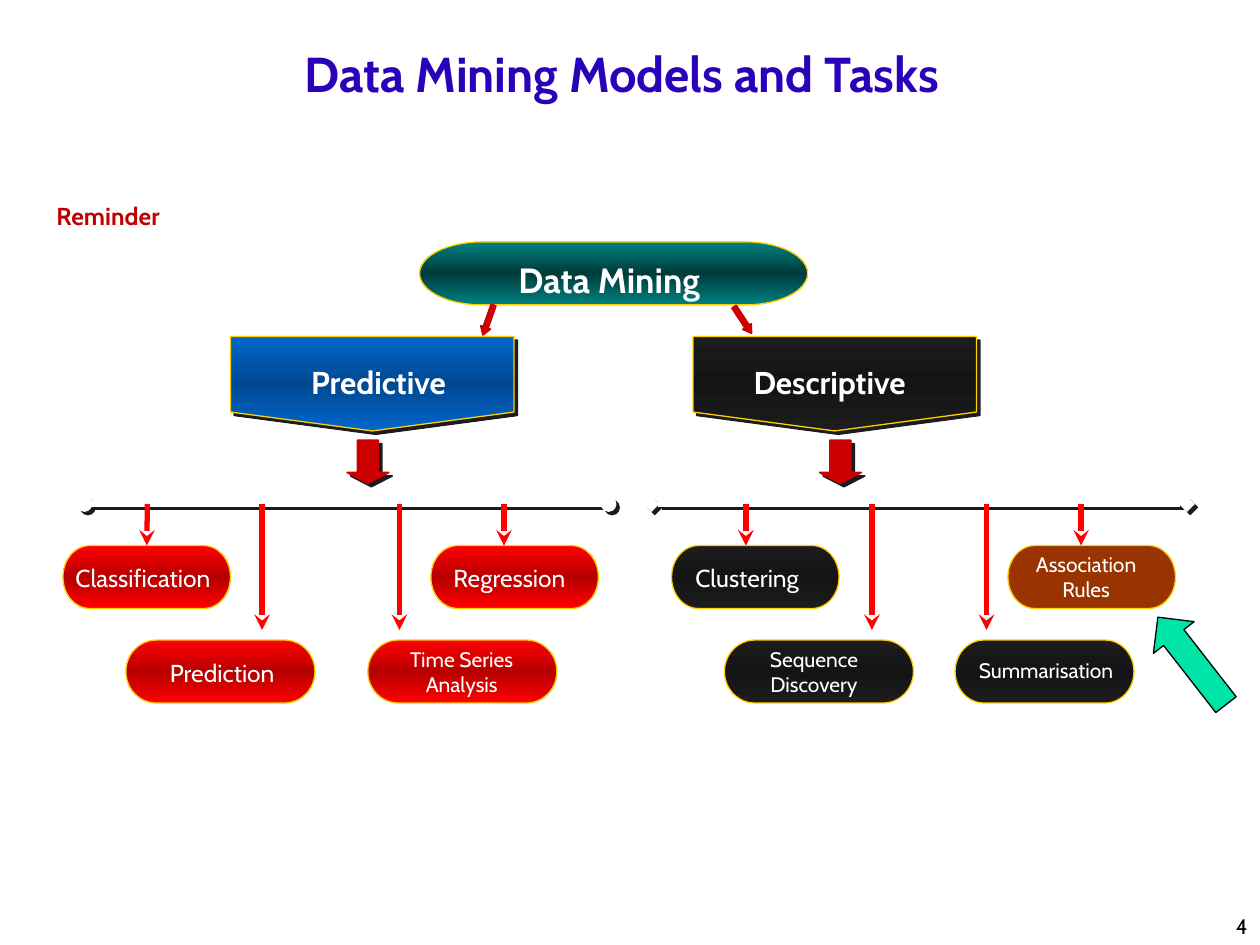
from dataclasses import dataclass

from lxml.etree import SubElement
from pptx import Presentation
from pptx.dml.color import RGBColor
from pptx.enum.shapes import MSO_CONNECTOR, MSO_SHAPE as SHAPE
from pptx.enum.text import MSO_ANCHOR as ANCHOR, MSO_AUTO_SIZE as AUTO, PP_ALIGN as ALIGN
from pptx.oxml.ns import qn
from pptx.util import Inches, Pt


@dataclass(frozen=True)
class Theme:
    font: str = "Cabin"
    title: str = "2A03B9"
    reminder: str = "C00000"
    white: str = "FFFFFF"
    black: str = "000000"
    gold: str = "FFCF01"
    shadow: str = "1C1C1C"
    arrow: str = "CC0000"
    drop: str = "FF0000"
    pointer: str = "00E4A8"
    rust: str = "993300"
    teal: tuple = ("008080", "003B3B")
    blue: tuple = ("0066CC", "004992")
    dark: tuple = ("1C1C1C", "141414")
    red: tuple = ("FF0000", "B60000")
    title_size: int = 28
    root_size: int = 20
    branch_size: int = 18
    task_size: int = 14
    small_size: int = 12


class Diagram:
    def __init__(self, slide, theme):
        self.s = slide
        self.t = theme

    def text(self, box, words, size, color=None, bold=False, align=ALIGN.CENTER,
             anchor=ANCHOR.TOP, spacing=None):
        tb = self.s.shapes.add_textbox(*map(Inches, box))
        tf = tb.text_frame
        tf.word_wrap = True
        tf.vertical_anchor = anchor
        tf.auto_size = AUTO.SHAPE_TO_FIT_TEXT if anchor == ANCHOR.TOP else AUTO.NONE
        p = tf.paragraphs[0]
        p.alignment = align
        if spacing:
            p.line_spacing = Pt(spacing)
        r = p.add_run()
        r.text = words
        r.font.name = self.t.font
        r.font.size = Pt(size)
        r.font.bold = bold
        r.font.color.rgb = RGBColor.from_string(color or self.t.white)

    def add_shadow(self, effects):
        shadow = SubElement(effects, qn("a:outerShdw"), blurRad="0", dist=str(Pt(2.8)),
                            dir="2700000", algn="ctr", rotWithShape="0")
        SubElement(shadow, qn("a:srgbClr"), val=self.t.shadow)

    def shape(self, kind, box, fill, line=None, width=0.75, rotation=0, adj=(), shadow=False):
        sp = self.s.shapes.add_shape(kind, *map(Inches, box))
        sp.rotation = rotation
        for i, value in enumerate(adj):
            sp.adjustments[i] = value
        if isinstance(fill, tuple):
            edge, middle = fill
            sp.fill.gradient()
            sp.fill.gradient_angle = 90
            stops = sp.element.spPr.find(".//" + qn("a:gsLst"))
            for stop in list(stops):
                stops.remove(stop)
            for pos, color in ((0, edge), (50000, middle), (100000, edge)):
                stop = SubElement(stops, qn("a:gs"), pos=str(pos))
                SubElement(stop, qn("a:srgbClr"), val=color)
        else:
            sp.fill.solid()
            sp.fill.fore_color.rgb = RGBColor.from_string(fill)
        sp.line.color.rgb = RGBColor.from_string(line or self.t.gold)
        sp.line.width = Pt(width)
        sp.shadow.inherit = False
        if shadow:
            self.add_shadow(sp.element.spPr.find(qn("a:effectLst")))
        return sp

    def arrow(self, box, rotation, head, shadow=False):
        self.shape(SHAPE.RIGHT_ARROW, box, self.t.arrow, self.t.arrow, 1, rotation,
                   (0.5, head), shadow)

    def line(self, x1, y1, x2, y2, color, head=None, tail=None, shadow=False, target=None):
        cn = self.s.shapes.add_connector(MSO_CONNECTOR.STRAIGHT,
                                         *map(Inches, (x1, y1, x2, y2)))
        if target is not None:
            cn.end_connect(target, 0)
        cn.line.color.rgb = RGBColor.from_string(color)
        cn.line.width = Pt(3)
        ln = cn.line._get_or_add_ln()
        for tag, kind in (("a:headEnd", head), ("a:tailEnd", tail)):
            if kind:
                SubElement(ln, qn(tag), type=kind)
        effects = SubElement(cn._element.spPr, qn("a:effectLst"))
        if shadow:
            self.add_shadow(effects)


def main():
    prs = Presentation()
    prs.slide_width, prs.slide_height = Inches(10), Inches(7.5)
    t = Theme()
    d = Diagram(prs.slides.add_slide(prs.slide_layouts[6]), t)

    d.text((0.35, 0.21, 9.17, 0.65), "Data Mining Models and Tasks", t.title_size, t.title,
           True, anchor=ANCHOR.BOTTOM)
    d.text((0.35, 1.23, 9.17, 0.65), "Reminder", t.task_size, t.reminder, True, ALIGN.LEFT,
           ANCHOR.BOTTOM, 36)
    d.shape(SHAPE.FLOWCHART_TERMINATOR, (3.33, 1.92, 3.08, 0.5), t.teal)
    d.text((3.67, 2, 2.33, 0.44), "Data Mining", t.root_size, bold=True)

    branches = (
        ("Predictive", 1.83, 2.17, t.blue, 2.75, 0.67, 4.83, "oval"),
        ("Descriptive", 5.5, 5.75, t.dark, 6.5, 5.17, 9.42, "diamond"),
    )
    for name, x, text_x, fill, arrow_x, start, end, cap in branches:
        d.shape(SHAPE.FLOWCHART_OFFPAGE_CONNECTOR, (x, 2.67, 2.25, 0.75), fill, shadow=True)
        d.text((text_x, 2.83, 1.67, 0.4), name, t.branch_size, bold=True)
        d.line(start, 4, end, 4, t.white, cap, cap, shadow=True)
        d.arrow((arrow_x, 3.5, 0.34, 0.33), 90, 0.257, shadow=True)

    for x, rotation in ((5.77, 56.7), (3.75, 109.6)):
        d.arrow((x, 2.5, 0.25, 0.08), rotation, 0.777)

    upper, lower = 4.33, 5.08
    one, small, two = (t.task_size, 0.09, 0.33), (t.small_size, 0.09, 0.3), (t.small_size, 0, 0.5)
    left, center = ALIGN.LEFT, ALIGN.CENTER
    tasks = (
        ("Classification", 0.5, upper, 1.33, t.red, 0.5, 1.42, one, left, 1.17),
        ("Prediction", 1, lower, 1.5, t.red, 1.25, 1.17, one, left, 2.08),
        ("Time Series Analysis", 2.92, lower, 1.5, t.red, 3.08, 1.17, two, center, 3.17),
        ("Regression", 3.42, upper, 1.33, t.red, 3.5, 1.25, one, left, 4),
        ("Clustering", 5.33, upper, 1.33, t.dark, 5.42, 1.17, one, left, 5.92),
        ("Sequence Discovery", 5.75, lower, 1.5, t.dark, 5.92, 1.08, two, center, 6.92),
        ("Summarisation", 7.58, lower, 1.42, t.dark, 7.67, 1.33, small, left, 7.83),
        ("Association Rules", 8, upper, 1.33, t.rust, 8.08, 1.08, two, center, 8.58),
    )
    for name, x, y, w, fill, text_x, text_w, (size, dy, h), align, drop_x in tasks:
        pill = d.shape(SHAPE.FLOWCHART_TERMINATOR, (x, y, w, 0.5), fill)
        d.text((text_x, y + dy, text_w, h), name, size, align=align)
        centered = y == upper and abs(x + w / 2 - drop_x) < 0.01
        d.line(drop_x, 4, drop_x, upper if y == upper else 5, t.drop, tail="stealth",
               target=pill if centered else None)

    d.shape(SHAPE.RIGHT_ARROW, (9.02, 5.04, 0.88, 0.41), t.pointer, t.black, rotation=232.1,
            adj=(0.5, 0.5))
    d.text((7.92, 7, 2.08, 0.5), "4", t.small_size, t.black, align=ALIGN.RIGHT,
           anchor=ANCHOR.BOTTOM)
    prs.save("out.pptx")


if __name__ == "__main__":
    main()
